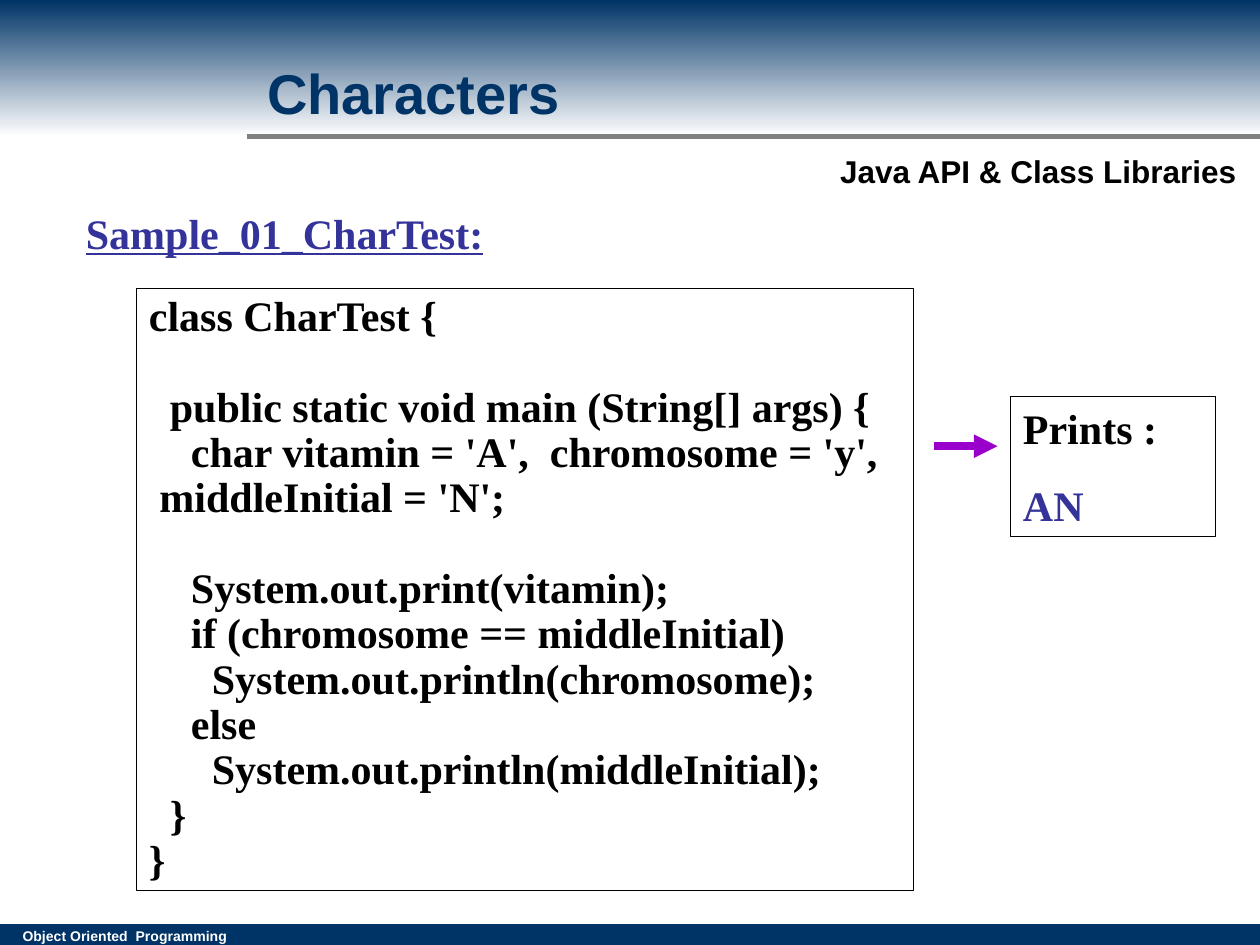
"""Build the Characters slide with its Java listing and printed result."""
from dataclasses import dataclass
from typing import Any, Optional

from lxml import etree
from pptx import Presentation
from pptx import util as u
from pptx.dml import color
from pptx.enum import shapes, text
from pptx.oxml import ns


@dataclass(frozen=True)
class Theme:
    navy: str = "003366"
    white: str = "FFFFFF"
    grey: str = "808080"
    black: str = "000000"
    indigo: str = "333399"
    purple: str = "9900CC"
    sans: str = "Arial"
    serif: str = "Times New Roman"
    title: float = 32
    body: float = 24
    subtitle: float = 18
    footer: float = 8
    frame: float = 0.75
    rule: float = 3
    arrow: float = 4.5


THEME = Theme()
SPACE = THEME.body / 4
BLANK_LINE = 26


@dataclass(frozen=True)
class Area:
    left: float
    top: float
    width: float
    height: float

    def points(self) -> list[u.Length]:
        return [u.Pt(value) for value in (self.left, self.top, self.width, self.height)]


@dataclass(frozen=True)
class Line:
    words: str
    size: float = THEME.body
    font: str = THEME.serif
    colour: str = THEME.black
    underline: bool = False
    before: float = 0
    spacing: float = 1
    indent: float = 0
    wrapped_indent: Optional[float] = None


@dataclass(frozen=True)
class Box:
    area: Area
    lines: list[Line]
    framed: bool = False
    wrap: bool = True
    grow: bool = True
    anchor: Any = text.MSO_ANCHOR.TOP


@dataclass(frozen=True)
class Stroke:
    start: tuple[float, float]
    length: float
    colour: str
    width: float
    arrowhead: bool = False


def code(words: str, spaces: int = 0, **options: Any) -> Line:
    return Line(words, spacing=0.9, indent=spaces * SPACE, **options)


def rgb(value: str) -> color.RGBColor:
    return color.RGBColor.from_string(value)


def apply(target: Any, values: dict[str, Any]) -> None:
    for name, value in values.items():
        setattr(target, name, value)


def add_rectangle(slide: Any, area: Area) -> Any:
    shape = slide.shapes.add_shape(shapes.MSO_SHAPE.RECTANGLE, *area.points())
    shape.shadow.inherit = False
    return shape


def add_band(slide: Any, area: Area, colours: list[str]) -> None:
    shape = add_rectangle(slide, area)
    shape.line.fill.background()
    if len(colours) == 1:
        shape.fill.solid()
        shape.fill.fore_color.rgb = rgb(colours[0])
        return
    shape.fill.gradient()
    shape.fill.gradient_angle = 270
    for position, (stop, colour) in enumerate(zip(shape.fill.gradient_stops, colours)):
        stop.color.rgb = rgb(colour)
        stop.position = position


def add_stroke(slide: Any, stroke: Stroke) -> None:
    left, top = stroke.start
    ends = (left, top, left + stroke.length, top)
    connector = slide.shapes.add_connector(
        shapes.MSO_CONNECTOR.STRAIGHT, *(u.Pt(value) for value in ends)
    )
    connector.line.color.rgb = rgb(stroke.colour)
    connector.line.width = u.Pt(stroke.width)
    properties = connector.element.spPr
    if stroke.arrowhead:
        outline = properties.find(ns.qn("a:ln"))
        etree.SubElement(outline, ns.qn("a:tailEnd"), type="triangle")
    etree.SubElement(properties, ns.qn("a:effectLst"))


def write_line(paragraph: Any, line: Line) -> None:
    apply(paragraph, {
        "alignment": text.PP_ALIGN.LEFT,
        "space_before": u.Pt(line.before),
        "line_spacing": line.spacing,
    })
    margin = line.indent if line.wrapped_indent is None else line.wrapped_indent
    properties = paragraph._p.get_or_add_pPr()
    properties.set("marL", str(u.Pt(margin)))
    properties.set("indent", str(u.Pt(line.indent - margin)))
    run = paragraph.add_run()
    run.text = line.words
    apply(run.font, {
        "name": line.font,
        "size": u.Pt(line.size),
        "bold": True,
        "underline": line.underline,
    })
    run.font.color.rgb = rgb(line.colour)


def add_box(slide: Any, box: Box) -> None:
    if box.framed:
        shape = add_rectangle(slide, box.area)
        shape.fill.background()
        shape.line.color.rgb = rgb(THEME.black)
        shape.line.width = u.Pt(THEME.frame)
    else:
        shape = slide.shapes.add_textbox(*box.area.points())
    fit = text.MSO_AUTO_SIZE
    frame = shape.text_frame
    apply(frame, {
        "word_wrap": box.wrap,
        "auto_size": fit.SHAPE_TO_FIT_TEXT if box.grow else fit.NONE,
        "vertical_anchor": box.anchor,
    })
    for index, line in enumerate(box.lines):
        write_line(frame.add_paragraph() if index else frame.paragraphs[0], line)


LISTING = [
    code("class CharTest {"),
    code("public static void main (String[] args) {", 2, before=BLANK_LINE),
    code("char vitamin = 'A',  chromosome = 'y', middleInitial = 'N';", 4, wrapped_indent=SPACE),
    code("System.out.print(vitamin);", 4, before=BLANK_LINE),
    code("if (chromosome == middleInitial)", 4),
    code("System.out.println(chromosome);", 6),
    code("else", 4),
    code("System.out.println(middleInitial);", 6),
    code("}", 2),
    code("}"),
]
RESULT = [Line("Prints :", before=15), Line("AN", before=15, colour=THEME.indigo)]
FOOTER = Line("Object Oriented  Programming", THEME.footer, THEME.sans, THEME.white)
SUBTITLE = Line("Java API & Class Libraries", THEME.subtitle, THEME.sans)
HEADING = Line("Sample_01_CharTest:", colour=THEME.indigo, underline=True, before=15)
TITLE = Line("Characters", THEME.title, THEME.sans, THEME.navy)


def main() -> None:
    presentation = Presentation()
    apply(presentation, {"slide_width": u.Pt(720), "slide_height": u.Pt(540)})
    slide = presentation.slides.add_slide(presentation.slide_layouts[6])
    add_band(slide, Area(0, 528, 720, 12), [THEME.navy])
    add_box(slide, Box(Area(5.8, 526.4, 144.8, 17), [FOOTER]))
    add_band(slide, Area(0, 0, 720, 78), [THEME.navy, THEME.white])
    add_stroke(slide, Stroke((141, 78), 579, THEME.grey, THEME.rule))
    add_box(slide, Box(Area(473, 83.5, 241, 29), [SUBTITLE], wrap=False))
    add_box(slide, Box(Area(78, 165, 444, 344), LISTING, framed=True))
    add_stroke(slide, Stroke((534, 255), 36, THEME.purple, THEME.arrow, arrowhead=True))
    add_box(slide, Box(Area(577.5, 226.5, 117, 80), RESULT, framed=True))
    add_box(slide, Box(Area(42, 115, 327, 36), [HEADING]))
    add_box(slide, Box(Area(145.5, 16.5, 666, 72), [TITLE], grow=False,
                       anchor=text.MSO_ANCHOR.MIDDLE))
    presentation.save("out.pptx")


if __name__ == "__main__":
    main()
